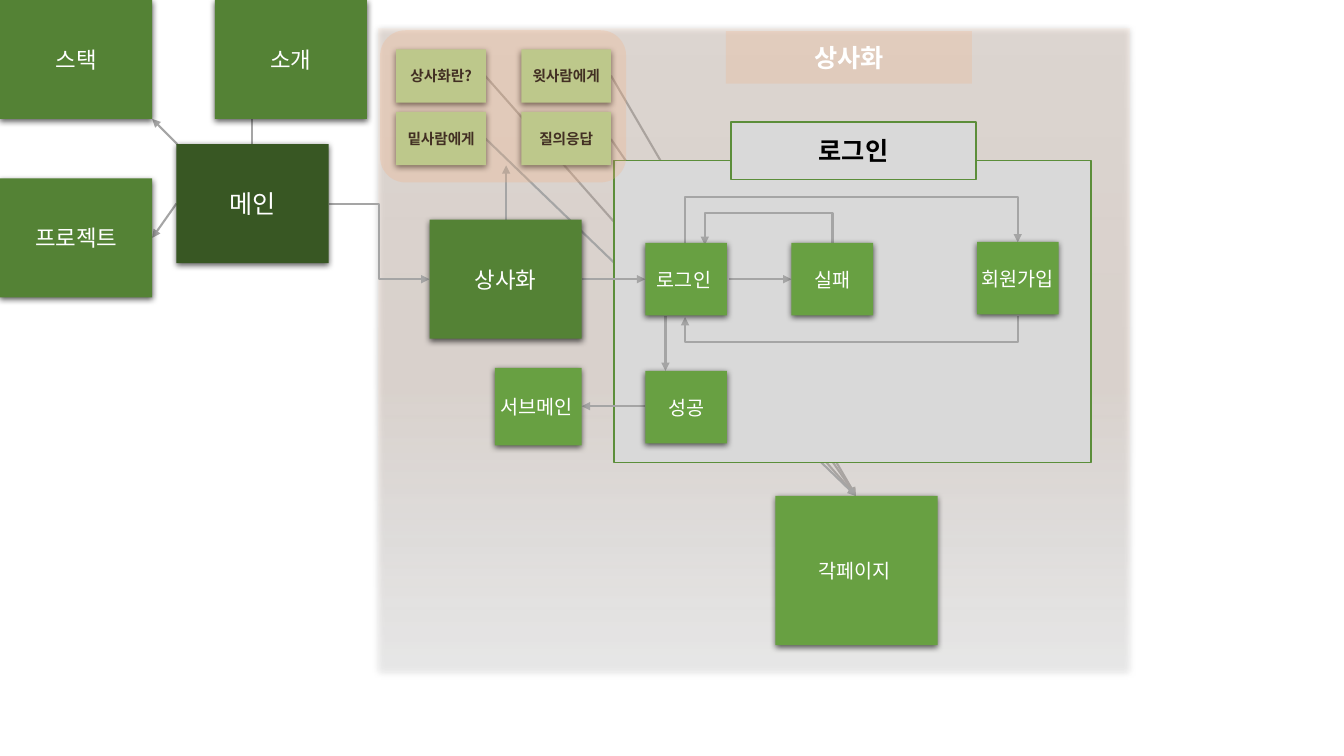
"""Builds the site map slide with its login flow."""
import lxml.etree
import pptx
import pptx.dml.color
import pptx.enum.shapes
import pptx.enum.text
import pptx.oxml
import pptx.oxml.ns
import pptx.util

Inches = pptx.util.Inches
Pt = pptx.util.Pt
RGBColor = pptx.dml.color.RGBColor
Shapes = pptx.enum.shapes.MSO_SHAPE
Connectors = pptx.enum.shapes.MSO_CONNECTOR
qn = pptx.oxml.ns.qn

FONT = "Noto Sans CJK KR"
WHITE = RGBColor(0xFF, 0xFF, 0xFF)
BLACK = RGBColor(0, 0, 0)
CREAM = RGBColor(0xFB, 0xE5, 0xD6)
PEACH = RGBColor(0xF4, 0xB1, 0x83)
GRAY = RGBColor(0xD9, 0xD9, 0xD9)
ARROW_GRAY = RGBColor(0xA5, 0xA5, 0xA5)
DARK_GREEN = RGBColor(0x38, 0x57, 0x23)
GREEN = RGBColor(0x54, 0x82, 0x35)
STEP_GREEN = RGBColor(0x68, 0xA0, 0x42)
PALE_GREEN = RGBColor(0xA9, 0xD1, 0x8E)
BORDER_GREEN = RGBColor(0x5C, 0x8E, 0x3A)

MAIN_TEXT = {"size": Pt(18), "color": WHITE}
PAGE_TEXT = {"size": Pt(16), "color": WHITE}
STEP_TEXT = {"size": Pt(14), "color": WHITE}
MENU_TEXT = {"size": Pt(10.5), "color": BLACK, "bold": True}
LOGIN_TITLE = {"size": Pt(18), "color": BLACK, "bold": True}
SECTION_TITLE = {"size": Pt(18), "color": WHITE, "bold": True}
NO_INSETS = (0, 0, 0, 0)
NARROW_INSETS = (0, 0.05, 0.04, 0.05)
PAGE_SIZE = (1.51, 1.18)
STEP_SIZE = (0.81, 0.72)


def set_attributes(target, values):
    """Set every attribute named in a dict of format values."""
    for name, value in values.items():
        setattr(target, name, value)


def set_alpha(color_element, percent):
    """Give a colour element an opacity."""
    lxml.etree.SubElement(color_element, qn("a:alpha")).set("val", str(percent * 1000))


def add_shadow(shape):
    """Add a soft black shadow just below a shape."""
    effects = shape._element.spPr.find(qn("a:effectLst"))
    shadow = lxml.etree.SubElement(effects, qn("a:outerShdw"))
    values = {"blurRad": Pt(4.5), "dist": Pt(1.5), "dir": 5400000, "algn": "t", "rotWithShape": 0}
    for name, value in values.items():
        shadow.set(name, str(value))
    color = lxml.etree.SubElement(shadow, qn("a:srgbClr"))
    color.set("val", str(BLACK))
    set_alpha(color, 63)


def set_gradient(shape, stops):
    """Fill a shape from top to bottom with (position, colour, opacity) stops."""
    shape.fill.gradient()
    gradient = shape._element.spPr.find(qn("a:gradFill"))
    shape.fill.gradient_angle = 270
    stop_list = gradient.find(qn("a:gsLst"))
    for stop in list(stop_list):
        stop_list.remove(stop)
    for position, color, opacity in stops:
        stop = lxml.etree.SubElement(stop_list, qn("a:gs"))
        stop.set("pos", str(position * 1000))
        color_element = lxml.etree.SubElement(stop, qn("a:srgbClr"))
        color_element.set("val", str(color))
        set_alpha(color_element, opacity)


def write_text(shape, text, text_format, insets):
    """Write one centred line of text in a shape."""
    frame = shape.text_frame
    values = {"word_wrap": True, "vertical_anchor": pptx.enum.text.MSO_ANCHOR.MIDDLE}
    sides = ("margin_left", "margin_top", "margin_right", "margin_bottom")
    values.update(zip(sides, map(Inches, insets)))
    set_attributes(frame, values)
    paragraph = frame.paragraphs[0]
    paragraph.alignment = pptx.enum.text.PP_ALIGN.CENTER
    run = paragraph.add_run()
    run.text = text
    values = dict(text_format, name=FONT)
    run.font.color.rgb = values.pop("color")
    set_attributes(run.font, values)
    east_asian = lxml.etree.SubElement(run.font._element, qn("a:ea"))
    east_asian.set("typeface", FONT)


def add_box(slide, position, size, fill, text="", text_format=None, insets=(0.1, 0.05, 0.1, 0.05),
            border=None, shadow=False, opacity=None, kind=Shapes.RECTANGLE):
    """Add a filled box with optional text, border, shadow and opacity."""
    shape = slide.shapes.add_shape(kind, *map(Inches, position + size))
    shape.shadow.inherit = False
    shape.fill.solid()
    shape.fill.fore_color.rgb = fill
    if opacity:
        set_alpha(shape._element.spPr.find(qn("a:solidFill"))[0], opacity)
    if border:
        shape.line.color.rgb = border
        shape.line.width = Pt(1)
    else:
        shape.line.fill.background()
    if shadow:
        add_shadow(shape)
    if text:
        write_text(shape, text, text_format, insets)
    return shape


def add_line(slide, start, end, kind=Connectors.STRAIGHT, width=1.5, arrow=True):
    """Add a gray connector, with an arrowhead at its end by default."""
    connector = slide.shapes.add_connector(kind, *map(Inches, start + end))
    connector.line.color.rgb = ARROW_GRAY
    connector.line.width = Pt(width)
    properties = connector._element.spPr
    if arrow:
        lxml.etree.SubElement(properties.find(qn("a:ln")), qn("a:tailEnd")).set("type", "triangle")
    lxml.etree.SubElement(properties, qn("a:effectLst"))
    return connector


def add_turned_elbow(slide, frame, rotation, flips, preset, adjustment=None, **style):
    """Add an elbow connector that is rotated or flipped in its frame."""
    left, top, width, height = frame
    connector = add_line(slide, (left, top), (left + width, top + height), Connectors.ELBOW, **style)
    properties = connector._element.spPr
    transform = properties.find(qn("a:xfrm"))
    transform.set("rot", str(rotation * 60000))
    for flip in flips:
        transform.set("flip" + flip, "1")
    geometry = properties.find(qn("a:prstGeom"))
    geometry.set("prst", preset)
    if adjustment:
        guide = lxml.etree.SubElement(geometry.find(qn("a:avLst")), qn("a:gd"))
        guide.set("name", "adj1")
        guide.set("fmla", f"val {adjustment * 100000}")


def add_arrows(slide):
    """Add the arrows between the pages and the login steps."""
    for start, end in (
        ((2.32, 2), (1.51, 1.18)), ((2.5, 1.43), (2.5, 0.84)), ((1.75, 2.02), (1.51, 2.36)),
        ((5.02, 2.18), (5.02, 1.64)), ((5.77, 2.77), (6.4, 2.77)), ((7.23, 2.77), (7.85, 2.77)),
        ((6.6, 3.14), (6.6, 3.68)), ((6.4, 4.03), (5.77, 4.03)),
    ):
        add_line(slide, start, end)
    add_line(slide, (3.26, 2.02), (4.26, 2.77), Connectors.ELBOW)
    add_turned_elbow(slide, (7.5, 1.66, 0.3, 1.21), 270, "V", "bentConnector2", width=1.75, arrow=False)
    add_turned_elbow(slide, (6.99, 2.11, 0.75, 0.32), 180, "V", "bentConnector2")
    add_turned_elbow(slide, (8.44, 0.76, 0.01, 3.3), 90, "HV", "bentConnector3", 47)
    add_turned_elbow(slide, (8.44, 1.49, 0.01, 3.3), 90, "", "bentConnector3", 26)


def add_pages(slide):
    """Add the site pages, the section menu and the login steps."""
    add_box(slide, (1.75, 1.43), PAGE_SIZE, DARK_GREEN, "메인", MAIN_TEXT, shadow=True)
    for text, position in (("소개", (2.13, 0)), ("프로젝트", (0, 1.77)),
                           ("스택", (0, 0)), ("상사화", (4.26, 2.18))):
        add_box(slide, position, PAGE_SIZE, GREEN, text, PAGE_TEXT, shadow=True)
    for index, text in enumerate(("상사화란?", "윗사람에게", "밑사람에게", "질의응답")):
        row, column = divmod(index, 2)
        position = (3.93 + 1.24 * column, 0.49 + 0.62 * row)
        add_box(slide, position, (0.89, 0.53), PALE_GREEN, text, MENU_TEXT, NO_INSETS, shadow=True)
    for text, position, size, insets in (
        ("로그인", (6.4, 2.41), STEP_SIZE, NARROW_INSETS),
        ("실패", (7.85, 2.41), STEP_SIZE, NO_INSETS),
        ("성공", (6.4, 3.68), STEP_SIZE, NO_INSETS),
        ("회원가입", (9.69, 2.4), STEP_SIZE, NO_INSETS),
        ("서브메인", (4.91, 3.65), (0.86, 0.77), NARROW_INSETS),
        ("각페이지", (7.69, 4.92), (1.61, 1.48), NARROW_INSETS),
    ):
        add_box(slide, position, size, STEP_GREEN, text, STEP_TEXT, insets, shadow=True)


def main():
    """Build the slide and save the presentation."""
    presentation = pptx.Presentation()
    set_attributes(presentation, {"slide_width": Inches(13.33), "slide_height": Inches(7.5)})
    slide = presentation.slides.add_slide(presentation.slide_layouts[6])
    page_top = (8.49, 4.92)
    for start in ((4.81, 0.75), (6.06, 1.38), (6.06, 0.75)):
        add_line(slide, start, page_top)
    section = add_box(slide, (3.76, 0.28), (7.44, 6.38), CREAM, shadow=True)
    set_gradient(section, ((0, CREAM, 30), (54, CREAM, 35), (100, WHITE, 18)))
    add_line(slide, (4.81, 1.37), page_top)
    add_box(slide, (6.09, 1.59), (4.73, 3), GRAY, border=BORDER_GREEN)
    add_arrows(slide)
    add_pages(slide)
    add_box(slide, (7.25, 1.21), (2.43, 0.57), GRAY, "로그인", LOGIN_TITLE, border=BORDER_GREEN)
    add_box(slide, (7.2, 0.31), (2.44, 0.52), PEACH, "상사화", SECTION_TITLE, opacity=24)
    add_box(slide, (3.77, 0.3), (2.44, 1.51), PEACH, opacity=27, kind=Shapes.ROUNDED_RECTANGLE)
    presentation.save("out.pptx")


main()
